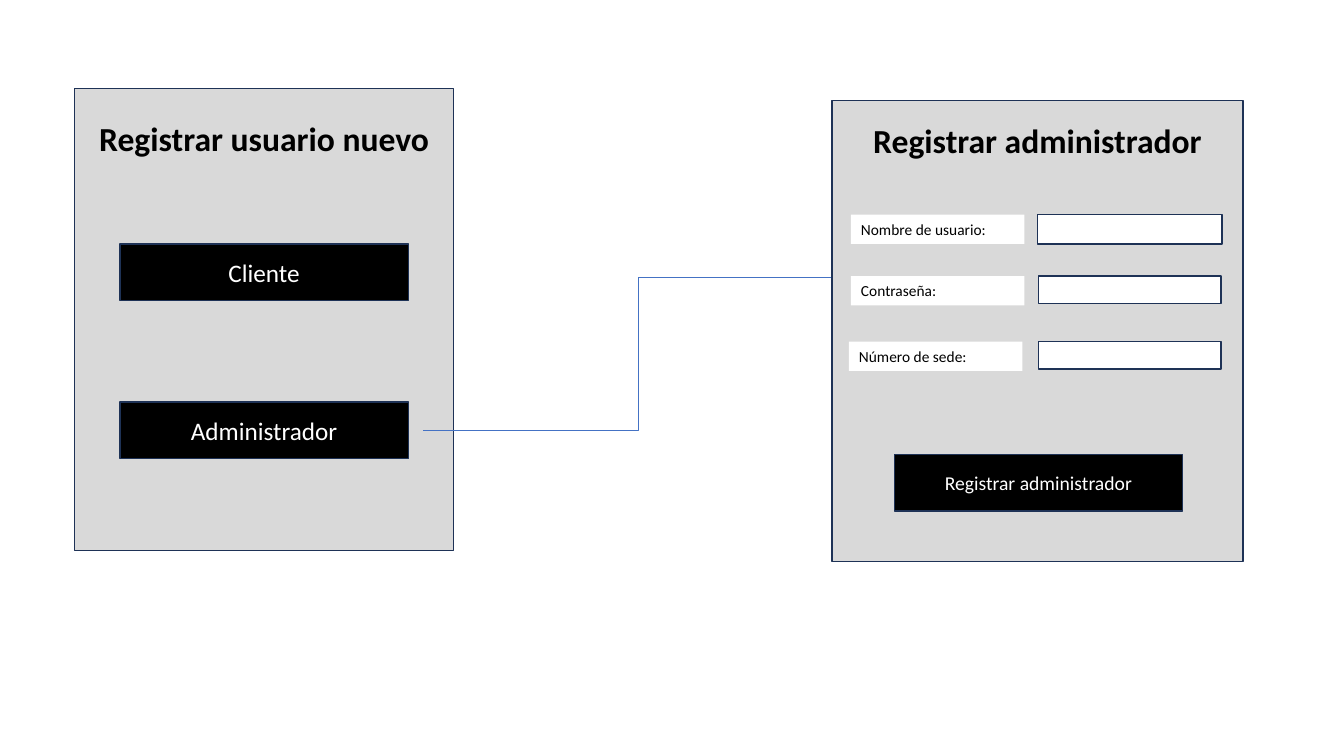
from dataclasses import dataclass

from lxml import etree
from pptx import Presentation
from pptx import util as u
from pptx.dml.color import RGBColor
from pptx.enum import shapes, text
from pptx.oxml.ns import qn


@dataclass(frozen=True)
class Theme:
    font: str = "Calibri"
    black: str = "000000"
    white: str = "FFFFFF"
    panel: str = "D9D9D9"
    outline: str = "1E3256"
    link: str = "4472C4"
    title_size: int = 24
    button_size: int = 18
    submit_size: int = 14
    label_size: int = 11
    outline_width: float = 1
    link_width: float = 0.5


class Wireframe:
    def __init__(self, slide, theme):
        self.slide = slide
        self.theme = theme

    def caption(self, shape, words, size, color, align, bold=False, grow=False, anchor="TOP"):
        frame = shape.text_frame
        fit = text.MSO_AUTO_SIZE.SHAPE_TO_FIT_TEXT if grow else text.MSO_AUTO_SIZE.NONE
        frame_format = {
            "word_wrap": True,
            "auto_size": fit,
            "vertical_anchor": text.MSO_ANCHOR[anchor],
        }
        for name, value in frame_format.items():
            setattr(frame, name, value)
        paragraph = frame.paragraphs[0]
        paragraph.alignment = text.PP_ALIGN[align]
        run = paragraph.add_run()
        run.text = words
        font_format = {"name": self.theme.font, "size": u.Pt(size), "bold": bold}
        for name, value in font_format.items():
            setattr(run.font, name, value)
        run.font.color.rgb = RGBColor.from_string(color)

    def box(self, left, top, width, height, fill, outlined=True):
        shape = self.slide.shapes.add_shape(
            shapes.MSO_SHAPE.RECTANGLE, *map(u.Inches, (left, top, width, height))
        )
        shape.shadow.inherit = False
        shape.fill.solid()
        shape.fill.fore_color.rgb = RGBColor.from_string(fill)
        if outlined:
            shape.line.color.rgb = RGBColor.from_string(self.theme.outline)
            shape.line.width = u.Pt(self.theme.outline_width)
        else:
            shape.line.fill.background()
        return shape

    def panel(self, left, top, width, height, title, title_top):
        self.box(left, top, width, height, self.theme.panel)
        heading = self.slide.shapes.add_textbox(
            *map(u.Inches, (left, title_top, width, 0.5))
        )
        self.caption(heading, title, self.theme.title_size, self.theme.black,
                     "CENTER", bold=True, grow=True)

    def button(self, left, top, words, size):
        shape = self.box(left, top, 2.86, 0.56, self.theme.black)
        self.caption(shape, words, size, self.theme.white, "CENTER", anchor="MIDDLE")

    def field(self, label_left, input_left, top, input_width, input_height, words):
        label = self.box(label_left, top, 1.72, 0.29, self.theme.white, outlined=False)
        self.caption(label, words, self.theme.label_size, self.theme.black, "LEFT", grow=True)
        self.box(input_left, top, input_width, input_height, self.theme.white)

    def elbow_arrow(self, *ends):
        connector = self.slide.shapes.add_connector(
            shapes.MSO_CONNECTOR.ELBOW, *map(u.Inches, ends)
        )
        connector.line.color.rgb = RGBColor.from_string(self.theme.link)
        connector.line.width = u.Pt(self.theme.link_width)
        properties = connector._element.spPr
        outline = properties.find(qn("a:ln"))
        etree.SubElement(outline, qn("a:tailEnd"), type="triangle")
        etree.SubElement(properties, qn("a:effectLst"))


def main():
    presentation = Presentation()
    presentation.slide_width = u.Inches(13.33)
    presentation.slide_height = u.Inches(7.5)
    slide = presentation.slides.add_slide(presentation.slide_layouts[6])
    theme = Theme()
    wireframe = Wireframe(slide, theme)

    wireframe.panel(0.74, 0.88, 3.76, 4.58, "Registrar usuario nuevo", 1.12)
    for top, role in ((2.42, "Cliente"), (3.99, "Administrador")):
        wireframe.button(1.19, top, role, theme.button_size)

    wireframe.elbow_arrow(4.2, 4.27, 8.47, 2.75)

    wireframe.panel(8.25, 1, 4.08, 4.57, "Registrar administrador", 1.14)
    fields = (
        (8.44, 10.29, 2.13, 1.83, 0.29, "Nombre de usuario:"),
        (8.44, 10.3, 2.74, 1.81, 0.27, "Contraseña:"),
        (8.42, 10.3, 3.39, 1.81, 0.27, "Número de sede:"),
    )
    for field in fields:
        wireframe.field(*field)
    wireframe.button(8.87, 4.51, "Registrar administrador", theme.submit_size)

    presentation.save("out.pptx")


if __name__ == "__main__":
    main()
